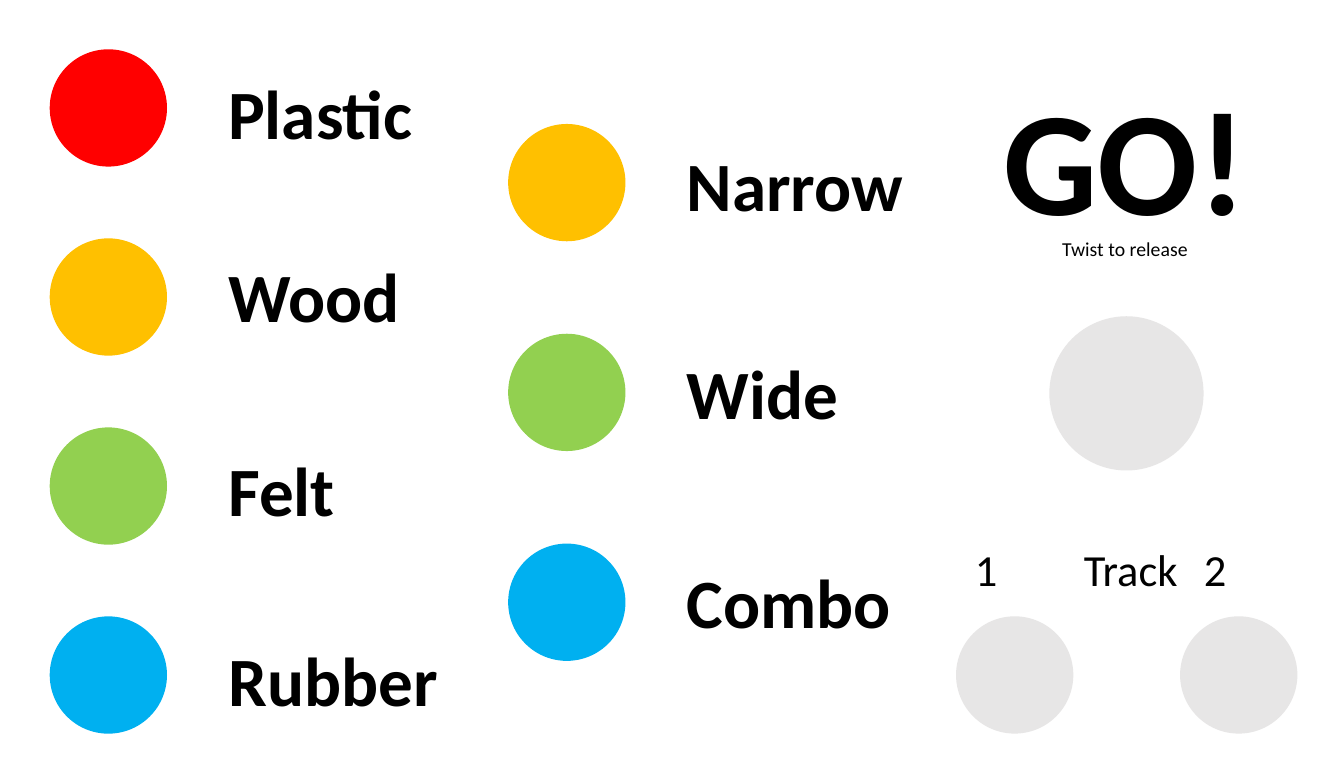
from dataclasses import dataclass

from lxml.etree import SubElement
from pptx import Presentation
from pptx.dml.color import RGBColor
from pptx.enum.shapes import MSO_CONNECTOR as Connector, MSO_SHAPE as Shape
from pptx.enum.text import MSO_ANCHOR as Anchor, MSO_AUTO_SIZE as AutoSize, PP_ALIGN as Align
from pptx.oxml.ns import qn
from pptx.util import Inches, Pt


@dataclass(frozen=True)
class Theme:
    font: str = "Calibri"
    ink: str = "000000"
    wire: str = "FFFFFF"
    red: str = "FF0000"
    amber: str = "FFC000"
    green: str = "92D050"
    blue: str = "00B0F0"
    grey: str = "E7E6E6"
    wire_width: float = 0.5
    go_size: int = 60
    option_size: int = 28
    track_size: int = 18
    hint_size: int = 8


class ControlPanel:
    """Draws on one page; places and widths are percentages of the page size."""

    def __init__(self, deck, theme):
        self.theme = theme
        self.page = deck.slides.add_slide(deck.slide_layouts[6])
        self.column = deck.slide_width / 100
        self.row = deck.slide_height / 100

    def wire(self, start_x, start_y, end_x, end_y):
        line = self.page.shapes.add_connector(
            Connector.STRAIGHT, round(start_x * self.column), round(start_y * self.row),
            round(end_x * self.column), round(end_y * self.row))
        line.line.color.rgb = RGBColor.from_string(self.theme.wire)
        line.line.width = Pt(self.theme.wire_width)
        SubElement(line._element.spPr, qn("a:effectLst"))

    def button(self, center_x, center_y, color, diameter=8.73):
        """Draw a disc around its center; the diameter is a share of the page width."""
        side = round(diameter * self.column)
        left = round(center_x * self.column - side / 2)
        top = round(center_y * self.row - side / 2)
        disc = self.page.shapes.add_shape(Shape.OVAL, left, top, side, side)
        disc.shadow.inherit = False
        disc.fill.solid()
        disc.fill.fore_color.rgb = RGBColor.from_string(color)
        disc.line.fill.background()

    def label(self, text, left, top, width, size, bold=False, align=Align.LEFT):
        """Write one line of text in a box as high as that line and its margins."""
        height = Pt(size * 1.22) + Inches(0.1)
        box = self.page.shapes.add_textbox(
            round(left * self.column), round(top * self.row), round(width * self.column), height)
        frame = box.text_frame
        frame_format = {"word_wrap": False, "auto_size": AutoSize.SHAPE_TO_FIT_TEXT,
                        "vertical_anchor": Anchor.TOP}
        for name, value in frame_format.items():
            setattr(frame, name, value)
        para = frame.paragraphs[0]
        para.alignment = align
        span = para.add_run()
        span.text = text
        for name, value in {"name": self.theme.font, "size": Pt(size), "bold": bold}.items():
            setattr(span.font, name, value)
        span.font.color.rgb = RGBColor.from_string(self.theme.ink)

    def options(self, center_x, first_y, step, choices):
        """Draw a column of evenly spaced buttons, each with its label on the right."""
        for index, (text, color, top, width) in enumerate(choices):
            self.button(center_x, first_y + index * step, color)
            self.label(text, center_x + 7.62, top, width, self.theme.option_size, bold=True)


def main():
    deck = Presentation()
    deck.slide_width, deck.slide_height = Inches(7.56), Inches(4.41)
    theme = Theme()
    panel = ControlPanel(deck, theme)

    material_x, width_x, go_x = 8.07, 42.18, 83.82
    track_1_x, track_2_x = 75.5, 92.17
    middle_y, track_y = 50.11, 86.1
    first_material_y, material_step = 13.78, 24.11
    first_width_y, width_step = 23.3, 26.76
    button_radius = 7.48

    panel.wire(go_x, track_y, go_x, middle_y)
    for track_x in (track_1_x, track_2_x):
        panel.wire(track_x, track_y, go_x, track_y)
    panel.wire(width_x, middle_y, go_x, middle_y)
    for side in (-1, 1):
        panel.wire(width_x, middle_y, width_x, middle_y + side * width_step)
    for gap in range(3):
        upper_y = first_material_y + gap * material_step
        panel.wire(material_x, upper_y + button_radius,
                   material_x, upper_y + material_step - button_radius)
    panel.wire(material_x, middle_y, width_x, middle_y)

    panel.options(material_x, first_material_y, material_step, [
        ("Plastic", theme.red, 7.82, 16.53),
        ("Wood", theme.amber, 31.18, 15.48),
        ("Felt", theme.green, 55.9, 10.71),
        ("Rubber", theme.blue, 80.16, 18.39),
    ])
    panel.options(width_x, first_width_y, width_step, [
        ("Narrow", theme.amber, 17.01, 18.92),
        ("Wide", theme.green, 43.54, 14.02),
        ("Combo", theme.blue, 70.29, 17.99),
    ])

    panel.label("GO!", 73.36, 7.48, 20.9, theme.go_size, bold=True)
    panel.label("Twist to release", 77.73, 29.12, 12.17, theme.hint_size)
    panel.button(go_x, 50.18, theme.grey, diameter=11.48)

    track_top = 68.08
    for number, center_x, left in (("1", track_1_x, 71.24), ("2", track_2_x, 88.27)):
        panel.button(center_x, track_y, theme.grey)
        panel.label(number, left, track_top, 4.37, theme.track_size)
    panel.label("Track", 79.29, track_top, 9.66, theme.track_size, align=Align.CENTER)

    deck.save("out.pptx")


if __name__ == "__main__":
    main()
